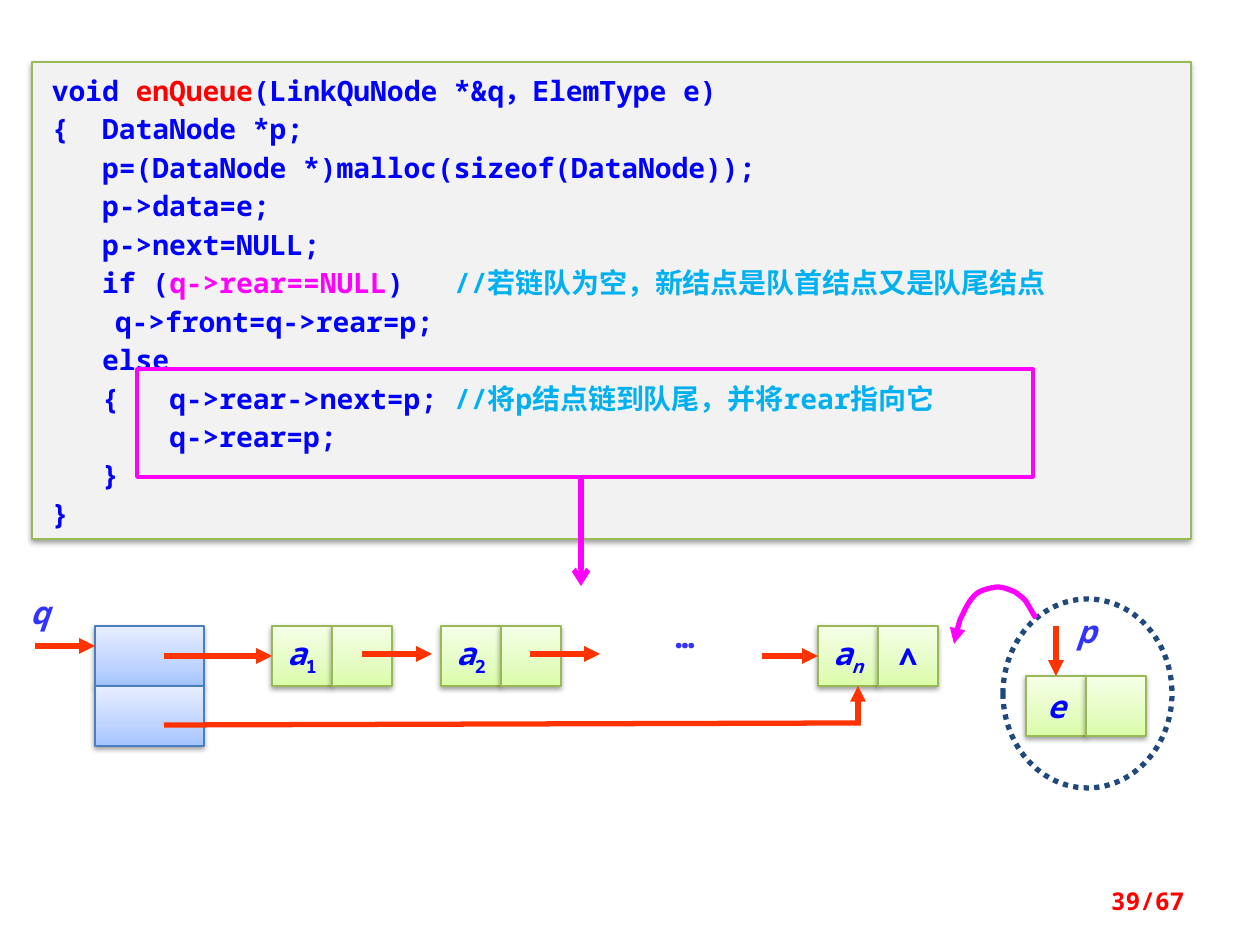
from copy import deepcopy
from lxml.etree import SubElement
from pptx import Presentation
from pptx.dml.color import RGBColor
from pptx.enum.dml import MSO_LINE
from pptx.enum.shapes import MSO_CONNECTOR, MSO_SHAPE
from pptx.enum.text import MSO_ANCHOR, PP_ALIGN
from pptx.oxml.ns import qn
from pptx.util import Emu, Inches, Pt

FONT = "Noto Sans Mono"
HEX = {
    "blue": "0000FF", "red": "FF0000", "pink": "FF00FF", "sky": "00B0F0",
    "label": "3333FF", "arrow": "FF3300", "paper": "F2F2F2",
    "leaf": "98B955", "steel": "4B7EBC", "navy": "1F497D",
}
GREEN = ("DAFDA7", "E4FCC2", "F5FFE7")
AZURE = ("A4C4FF", "BFD4FF", "E6EEFF")

CODE = [
    [("void ", "blue"), ("enQueue", "red"), ("(LinkQuNode *&q，ElemType e)", "blue")],
    [("{  DataNode *p;", "blue")],
    [("   p=(DataNode *)malloc(sizeof(DataNode));", "blue")],
    [("   p->data=e;", "blue")],
    [("   p->next=NULL;", "blue")],
    [("   if (", "blue"), ("q->rear==NULL", "pink"), (")   ", "blue"),
     ("//若链队为空，新结点是队首结点又是队尾结点", "sky")],
    [("\tq->front=q->rear=p;", "blue")],
    [("   else", "blue")],
    [("   {   q->rear->next=p; ", "blue"), ("//将p结点链到队尾，并将rear指向它", "sky")],
    [("       q->rear=p;", "blue")],
    [("   }", "blue")],
    [("}", "blue")],
]
CELL = 60
NODES = {
    "a1": (272, 626, [("a", "i"), ("1", "s")], []),
    "a2": (441, 626, [("a", "i"), ("2", "s")], []),
    "an": (818, 626, [("a", "i"), ("n", "is")], [("∧", "")]),
    "e": (1026, 676, [("e", "i")], []),
}
LABELS = [
    ("q", "i", 10, 587, 59),
    ("…", "", 630, 611, 110),
    ("p", "i", 1052, 606, 69),
]
ARROWS = [
    ((35, 646), (95, 646), None),
    ((164, 656), (272, 656), ("a1", 1)),
    ((362, 654), (432, 654), None),
    ((530, 654), (600, 654), None),
    ((762, 656), (818, 656), ("an", 1)),
    ((858, 725), (858, 686), None),
    ((1056, 626), (1056, 676), ("e", 0)),
]
START = (1036, 618)
CURVE = [
    ((1033, 614), (1028, 604), (1025, 600)),
    ((1022, 597), (1019, 595), (1015, 592)),
    ((1010, 590), (1004, 587), (997, 587)),
    ((990, 588), (979, 590), (974, 596)),
    ((968, 602), (964, 612), (960, 620)),
    ((958, 627), (955, 638), (954, 644)),
]
STEPS = 8

deck = Presentation()
deck.slide_width, deck.slide_height = Inches(10), Inches(7.5)
slide = deck.slides.add_slide(deck.slide_layouts[6])
shapes = slide.shapes


def px(num):
    return Emu(round(num * 914400 / 126))


def tint(name):
    return RGBColor.from_string(HEX[name])


def stroke(line, name, width, tail=None):
    line.color.rgb = tint(name)
    line.width = Pt(width)
    if tail:
        SubElement(line._get_or_add_ln(), qn("a:tailEnd"), type=tail)


def add_run(para, text, name, size, style=""):
    run = para.add_run()
    run.text = text
    font = run.font
    font.name, font.size, font.bold = FONT, Pt(size), True
    font.italic = "i" in style
    font.color.rgb = tint(name)
    if "s" in style:
        run._r.get_or_add_rPr().set("baseline", "-25000")


def shade(shape):
    spot = SubElement(shape._element.spPr, qn("a:effectLst"))
    cast = SubElement(spot, qn("a:outerShdw"), blurRad=str(Pt(3.1)), dist=str(Pt(1.6)),
                      dir="5400000", rotWithShape="0")
    tone = SubElement(cast, qn("a:srgbClr"), val="000000")
    SubElement(tone, qn("a:alpha"), val="38000")


def add_box(x, y, wide, high, line, width=0.75, kind=MSO_SHAPE.RECTANGLE):
    shape = shapes.add_shape(kind, px(x), px(y), px(wide), px(high))
    shape.fill.background()
    stroke(shape.line, line, width)
    return shape


def plain(shape):
    shape.shadow.inherit = False
    return shape


def add_cell(x, y, wide, line, grade, runs=()):
    shape = add_box(x, y, wide, CELL, line)
    shape.fill.gradient()
    shape.fill.gradient_angle = 90
    stops = shape._element.spPr.find(qn("a:gradFill")).find(qn("a:gsLst"))
    stops.insert(1, deepcopy(stops[0]))
    for stop, place, code in zip(shape.fill.gradient_stops, (0, 0.35, 1), grade):
        stop.color.rgb = RGBColor.from_string(code)
        stop.position = place
    shade(shape)
    frame = shape.text_frame
    frame.word_wrap = False
    frame.vertical_anchor = MSO_ANCHOR.MIDDLE
    para = frame.paragraphs[0]
    para.alignment = PP_ALIGN.CENTER
    for text, style in runs:
        add_run(para, text, "blue", 18, style)
    return shape


def add_line(start, end, name="arrow", tail="triangle"):
    line = shapes.add_connector(MSO_CONNECTOR.STRAIGHT, *map(px, start + end))
    stroke(line.line, name, 3, tail)
    SubElement(line._element.spPr, qn("a:effectLst"))
    return line


def add_label(text, style, x, y, wide, name, size, align):
    frame = shapes.add_textbox(px(x), px(y), px(wide), px(50)).text_frame
    frame.word_wrap = True
    para = frame.paragraphs[0]
    para.alignment = align
    add_run(para, text, name, size, style)
    return frame


panel = add_box(32, 62, 1159, 477, "leaf")
panel.fill.solid()
panel.fill.fore_color.rgb = tint("paper")
shade(panel)
frame = panel.text_frame
frame.word_wrap = True
frame.vertical_anchor = MSO_ANCHOR.TOP
frame.margin_left = frame.margin_right = px(20)
for row, runs in enumerate(CODE):
    para = frame.add_paragraph() if row else frame.paragraphs[0]
    para.alignment = PP_ALIGN.LEFT
    para.line_spacing = Pt(22)
    for text, name in runs:
        add_run(para, text, name, 16)

for row in range(2):
    add_cell(95, 626 + row * CELL, 109, "steel", AZURE)

cells = {}
for key, (x, y, data, link) in NODES.items():
    cells[key] = add_cell(x, y, CELL, "leaf", GREEN, data)
    add_cell(x + CELL, y, CELL, "leaf", GREEN, link)

for start, end, join in ARROWS:
    line = add_line(start, end)
    if join:
        line.end_connect(cells[join[0]], join[1])
add_line((164, 725), (861, 723), tail=None)

for text, style, x, y, wide in LABELS:
    add_label(text, style, x, y, wide, "label", 18, PP_ALIGN.CENTER)

ring = plain(add_box(1003, 599, 169, 189, "navy", 3, MSO_SHAPE.OVAL))
ring.line.dash_style = MSO_LINE.ROUND_DOT

dots, last = [], START
for one, two, end in CURVE:
    for step in range(1, STEPS + 1):
        t = step / STEPS
        u = 1 - t
        dots.append(tuple(px(u**3 * a + 3 * u * u * t * b + 3 * u * t * t * c + t**3 * d)
                          for a, b, c, d in zip(last, one, two, end)))
    last = end
pen = shapes.build_freeform(px(START[0]), px(START[1]))
pen.add_line_segments(dots, close=False)
curve = plain(pen.convert_to_shape())
curve.fill.background()
stroke(curve.line, "pink", 3, "triangle")

plain(add_box(137, 369, 896, 108, "pink", 2))
add_line((581, 477), (581, 586), "pink", "arrow")

page = add_label("39/67", "", 903, 876, 294, "red", 14, PP_ALIGN.RIGHT)
page.vertical_anchor = MSO_ANCHOR.MIDDLE

deck.save("out.pptx")
